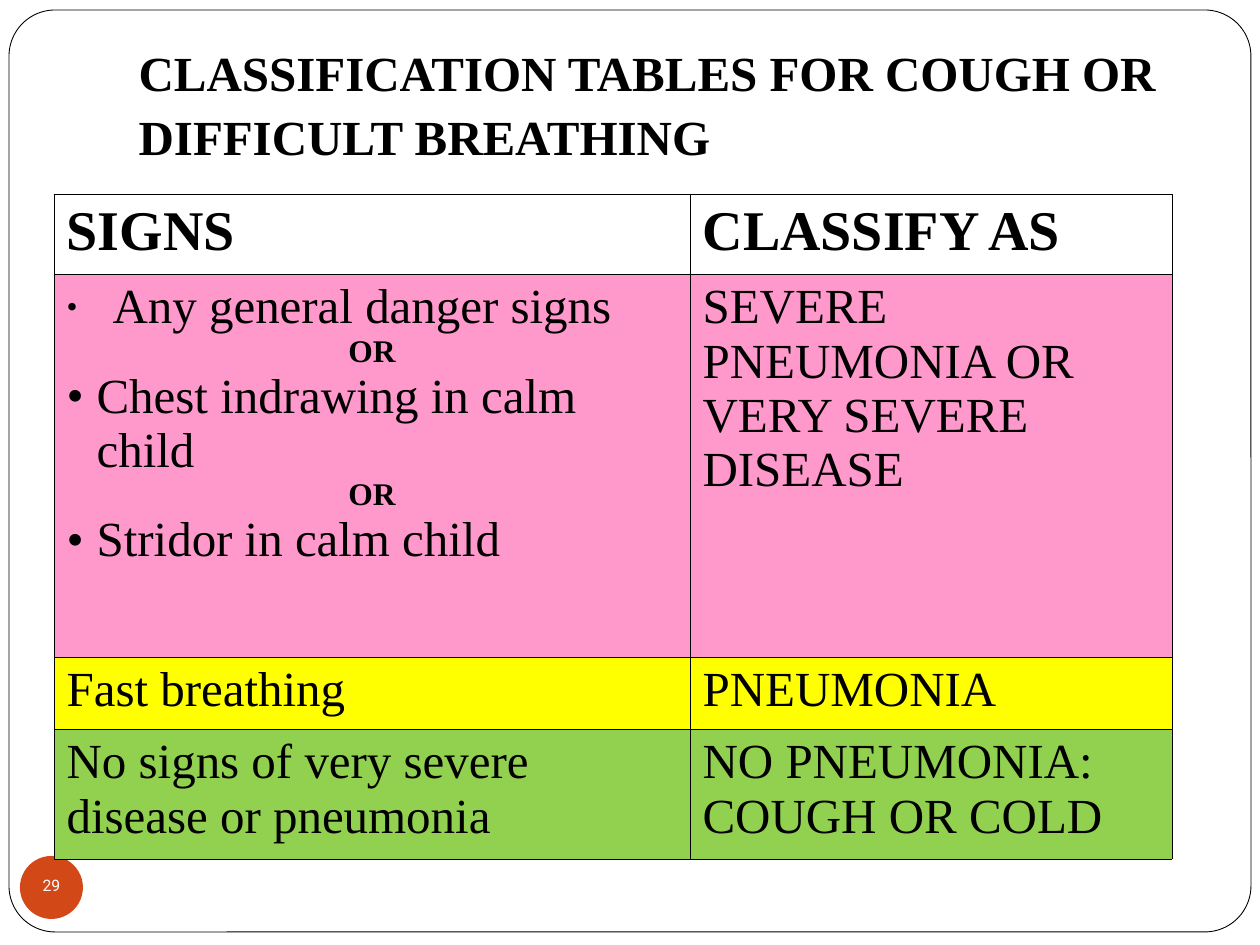
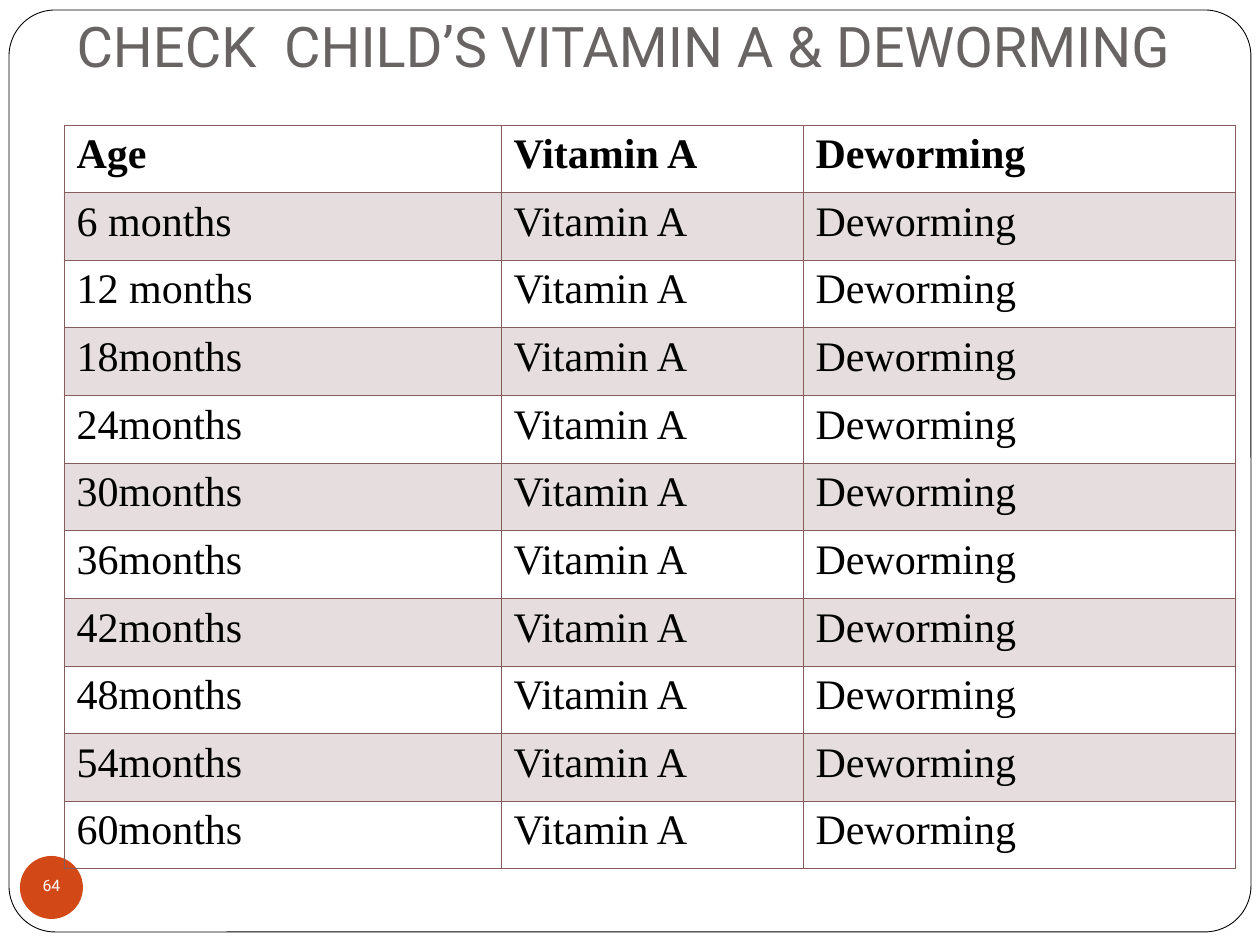
from dataclasses import dataclass

from lxml import etree
from pptx import Presentation
from pptx.dml.color import RGBColor
from pptx.enum.shapes import MSO_SHAPE
from pptx.enum.text import MSO_ANCHOR, MSO_AUTO_SIZE, PP_ALIGN
from pptx.oxml.ns import qn
from pptx.util import Pt

ROUNDED, OVAL = MSO_SHAPE.ROUNDED_RECTANGLE, MSO_SHAPE.OVAL
LEFT, CENTER = PP_ALIGN.LEFT, PP_ALIGN.CENTER
MIDDLE, BOTTOM = MSO_ANCHOR.MIDDLE, MSO_ANCHOR.BOTTOM
NO_FIT = MSO_AUTO_SIZE.NONE
TITLE_ONLY = 5
SCALE = 914400 / 126


@dataclass(frozen=True)
class Theme:
    """Colours, fonts and type sizes of the deck."""
    black: str = "000000"
    white: str = "FFFFFF"
    grey: str = "696464"
    accent: str = "D34817"
    mauve: str = "855D5D"
    pink: str = "FF99CC"
    yellow: str = "FFFF00"
    green: str = "92D050"
    serif: str = "Times New Roman"
    sans: str = "Roboto"
    large: int = 32
    medium: int = 28
    body: int = 24
    small: int = 18
    number: int = 9
    hairline: float = 0.45
    header_rule: float = 0.96


T = Theme()

FRAME = (9, 10, 1242, 922)
BADGE = (20, 856, 63, 63)

DANGER_SIGNS = [
    ("Any general danger signs", 46, 64),
    ("OR", 0, 0),
    ("Chest indrawing in calm child", 30, 100),
    ("OR", 0, 0),
    ("Stridor in calm child", 30, 100),
]
CLASSIFICATION = [
    (80, None, ("SIGNS", "CLASSIFY AS")),
    (383, T.pink, (DANGER_SIGNS, "SEVERE PNEUMONIA OR VERY SEVERE DISEASE")),
    (72, T.yellow, ("Fast breathing", "PNEUMONIA")),
    (130, T.green, ("No signs of very severe disease or pneumonia",
                    "NO PNEUMONIA: COUGH OR COLD")),
]
AGES = ["6 months", "12 months"] + [f"{n}months" for n in range(18, 61, 6)]


def px(n):
    """Turn pixels into EMU."""
    return round(n * SCALE)


def box_emu(box):
    """Turn a box in pixels into EMU."""
    return [px(n) for n in box]


def add_run(p, text, size, font=T.serif, color=T.black, bold=False):
    """Add one formatted run to a paragraph."""
    r = p.add_run()
    r.text = text
    r.font.size, r.font.name, r.font.bold = Pt(size), font, bold
    r.font.color.rgb = RGBColor.from_string(color)


def add_shape(slide, kind, box, fill):
    """Add a flat filled shape without a line."""
    sp = slide.shapes.add_shape(kind, *box_emu(box))
    sp.shadow.inherit = False
    sp.fill.solid()
    sp.fill.fore_color.rgb = RGBColor.from_string(fill)
    sp.line.fill.background()
    return sp


def add_frame(slide, box):
    """Draw the rounded page frame behind the title."""
    sp = add_shape(slide, ROUNDED, box, T.white)
    sp.adjustments[0] = 0.05
    sp.line.color.rgb = RGBColor.from_string(T.black)
    sp.line.width = Pt(0.5)
    slide.shapes.title.element.addprevious(sp.element)


def add_badge(slide, box, number):
    """Draw the round page number."""
    sp = add_shape(slide, OVAL, box, T.accent)
    tf = sp.text_frame
    tf.vertical_anchor = MIDDLE
    p = tf.paragraphs[0]
    p.alignment, p.line_spacing = CENTER, 0.8
    add_run(p, str(number), T.number, T.sans, T.white)


def set_title(slide, box, text, spacing=1.0, **style):
    """Place and format the title placeholder."""
    sp = slide.shapes.title
    sp.left, sp.top, sp.width, sp.height = box_emu(box)
    tf = sp.text_frame
    tf.word_wrap, tf.auto_size, tf.vertical_anchor = True, NO_FIT, BOTTOM
    tf.margin_left = tf.margin_right = tf.margin_bottom = Pt(7.2)
    tf.margin_top = Pt(3.6)
    p = tf.paragraphs[0]
    p.alignment, p.line_spacing = LEFT, spacing
    add_run(p, text, **style)


def add_page(prs, number, title_box, title, **style):
    """Add a slide with frame, title and page number."""
    slide = prs.slides.add_slide(prs.slide_layouts[TITLE_ONLY])
    set_title(slide, title_box, title, **style)
    add_frame(slide, FRAME)
    add_badge(slide, BADGE, number)
    return slide


def set_bullet(p, indent, percent):
    """Give a paragraph a hanging round bullet."""
    pPr = p._p.get_or_add_pPr()
    pPr.set("marL", str(px(indent)))
    pPr.set("indent", str(-px(indent)))
    color = etree.SubElement(pPr, qn("a:buClr"))
    etree.SubElement(color, qn("a:srgbClr"), val=T.black)
    etree.SubElement(pPr, qn("a:buSzPct"), val=str(percent * 1000))
    etree.SubElement(pPr, qn("a:buFont"), typeface=T.serif)
    etree.SubElement(pPr, qn("a:buChar"), char="•")


def set_fill(cell, color, alpha=100):
    """Fill a cell, or clear it when no colour is given."""
    if color is None:
        cell.fill.background()
        return
    cell.fill.solid()
    cell.fill.fore_color.rgb = RGBColor.from_string(color)
    if alpha < 100:
        rgb = cell._tc.tcPr.find(".//" + qn("a:srgbClr"))
        etree.SubElement(rgb, qn("a:alpha"), val=str(alpha * 1000))


def set_borders(cell, color, top, bottom):
    """Draw the four borders of a cell."""
    widths = {"L": T.hairline, "R": T.hairline, "T": top, "B": bottom}
    tcPr = cell._tc.get_or_add_tcPr()
    for i, (side, width) in enumerate(widths.items()):
        ln = etree.Element(qn(f"a:ln{side}"), w=str(Pt(width)))
        fill = etree.SubElement(ln, qn("a:solidFill"))
        etree.SubElement(fill, qn("a:srgbClr"), val=color)
        tcPr.insert(i, ln)


def add_grid(slide, left, top, widths, heights):
    """Add an unstyled table with the given columns and rows."""
    shape = slide.shapes.add_table(len(heights), len(widths), px(left), px(top),
                                   px(sum(widths)), px(sum(heights)))
    table = shape.table
    table.first_row = table.horz_banding = False
    for col, width in zip(table.columns, widths):
        col.width = px(width)
    for row, height in zip(table.rows, heights):
        row.height = px(height)
    return table


def fill_signs(tf, signs):
    """Write bulleted signs with centred words between them."""
    for i, (text, indent, percent) in enumerate(signs):
        p = tf.add_paragraph() if i else tf.paragraphs[0]
        if indent:
            set_bullet(p, indent, percent)
            add_run(p, text, T.medium)
        else:
            p.alignment = CENTER
            add_run(p, text, T.small, bold=True)


def add_classification_table(slide, left, top):
    """Add the coloured table of signs and classes."""
    heights = [height for height, _, _ in CLASSIFICATION]
    table = add_grid(slide, left, top, (636, 482), heights)
    for i, (_, color, texts) in enumerate(CLASSIFICATION):
        for j, text in enumerate(texts):
            cell = table.cell(i, j)
            set_fill(cell, color)
            set_borders(cell, T.black, T.hairline, T.hairline)
            if isinstance(text, list):
                fill_signs(cell.text_frame, text)
            else:
                size = T.medium if i else T.large
                add_run(cell.text_frame.paragraphs[0], text, size, bold=i == 0)


def add_age_table(slide, left, top, height):
    """Add the banded table of doses by age."""
    ages = ["Age"] + AGES
    table = add_grid(slide, left, top, (437, 302, 432),
                     [height / len(ages)] * len(ages))
    for i, age in enumerate(ages):
        for j, text in enumerate((age, "Vitamin A", "Deworming")):
            cell = table.cell(i, j)
            set_fill(cell, T.mauve if i % 2 else None, 20)
            set_borders(cell, T.mauve,
                        T.header_rule if i == 1 else T.hairline,
                        T.header_rule if i == 0 else T.hairline)
            add_run(cell.text_frame.paragraphs[0], text, T.body, bold=i == 0)


def main():
    """Build both slides and save the deck."""
    prs = Presentation()
    prs.slide_width, prs.slide_height = px(1260), px(945)
    slide = add_page(prs, 29, (126, 38, 1071, 140),
                     "CLASSIFICATION TABLES FOR COUGH OR DIFFICULT BREATHING",
                     spacing=1.09, size=T.medium, bold=True)
    add_classification_table(slide, 54, 194)
    slide = add_page(prs, 64, (64, 4, 1134, 87),
                     "CHECK  CHILD’S VITAMIN A & DEWORMING",
                     size=T.large, font=T.sans, color=T.grey)
    add_age_table(slide, 64, 125, 744)
    prs.save("out.pptx")


if __name__ == "__main__":
    main()
